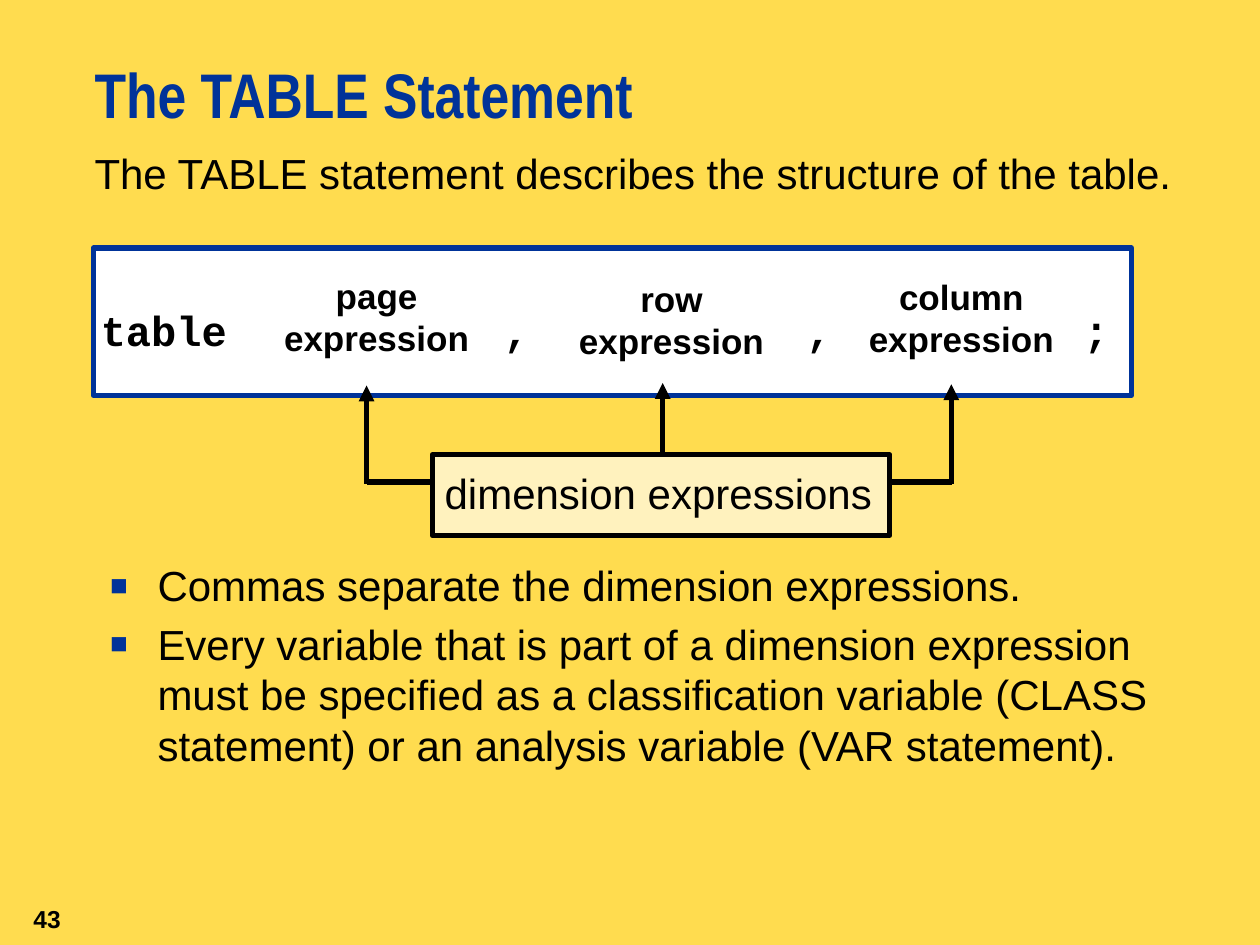
import pptx
import pptx.dml.color
import pptx.enum.shapes
import pptx.enum.text
import pptx.oxml
import pptx.oxml.ns
import pptx.util

Pt = pptx.util.Pt
ALIGN = pptx.enum.text.PP_ALIGN
ANCHOR = pptx.enum.text.MSO_ANCHOR
COLORS = {
    "background": "FFDC4F",
    "blue": "003399",
    "black": "000000",
    "white": "FFFFFF",
    "cream": "FFF2BE",
}


def color(name):
    return pptx.dml.color.RGBColor.from_string(COLORS[name])


def add_child(parent, tag, **attributes):
    child = pptx.oxml.parse_xml(f"<a:{tag} {pptx.oxml.ns.nsdecls('a')}/>")
    for key, value in attributes.items():
        child.set(key, str(value))
    parent.append(child)
    return child


def set_frame(box, insets=(0, 0, 0, 0), wrap=True, anchor=ANCHOR.TOP):
    frame = box.text_frame
    frame.margin_left, frame.margin_top, frame.margin_right, frame.margin_bottom = map(Pt, insets)
    frame.word_wrap = wrap
    frame.vertical_anchor = anchor
    return frame


def add_box(page, left, top, width, height, **layout):
    box = page.shapes.add_textbox(Pt(left), Pt(top), Pt(width), Pt(height))
    return set_frame(box, **layout)


def add_rectangle(page, left, top, width, height, fill, line, **layout):
    box = page.shapes.add_shape(
        pptx.enum.shapes.MSO_SHAPE.RECTANGLE, Pt(left), Pt(top), Pt(width), Pt(height))
    box.shadow.inherit = False
    box.fill.solid()
    box.fill.fore_color.rgb = color(fill)
    box.line.color.rgb = color(line)
    box.line.width = Pt(3)
    return set_frame(box, **layout)


def write(frame, text, size=24, font="Arial", ink="black", bold=False, align=ALIGN.LEFT,
          before=0, spacing=None, bullet=False, tabs=()):
    para = frame.paragraphs[0]
    if para.runs:
        para = frame.add_paragraph()
    para.alignment = align
    para.space_before = Pt(before)
    if spacing:
        para.line_spacing = Pt(spacing)
    properties = para._p.get_or_add_pPr()
    if bullet:
        properties.set("marL", str(Pt(36)))
        properties.set("indent", str(Pt(-27)))
        add_child(add_child(properties, "buClr"), "srgbClr", val=COLORS["blue"])
        add_child(properties, "buSzPct", val=70000)
        add_child(properties, "buFont", typeface="Arial")
        add_child(properties, "buChar", char="■")
    if tabs:
        tab_list = add_child(properties, "tabLst")
        for position in tabs:
            add_child(tab_list, "tab", pos=Pt(position), algn="l")
    span = para.add_run()
    span.text = text
    span.font.size = Pt(size)
    span.font.name = font
    span.font.bold = bold
    span.font.color.rgb = color(ink)


def add_line(page, start, end, arrow=False):
    line = page.shapes.add_connector(
        pptx.enum.shapes.MSO_CONNECTOR.STRAIGHT, *map(Pt, start + end))
    line.line.color.rgb = color("black")
    line.line.width = Pt(3)
    if arrow:
        add_child(line.line._get_or_add_ln(), "tailEnd", type="triangle")
    add_child(line._element.spPr, "effectLst")


def add_statement(page):
    panel = add_rectangle(page, 53.3, 141.8, 593.3, 84.2, "white", "blue",
                          insets=(4.3, 32, 4.3, 4.3))
    character = 14.4
    write(panel, "table\t,\t,\t;", font="Courier New", bold=True,
          tabs=[character * column for column in (16, 28, 39)])
    for name, left, top in (("page", 152.6, 153.4), ("row", 321.1, 154.8),
                            ("column", 486.7, 154.1)):
        label = add_box(page, left, top, 125.3, 58.3, insets=(3.6,) * 4)
        write(label, f"{name} expression", size=20, bold=True, align=ALIGN.CENTER)


def add_callout(page):
    bar = 275.4
    for x, tip in ((209.5, 220.3), (378.7, 218.9), (543.6, 219.6)):
        add_line(page, (x, bar + 1), (x, tip), arrow=True)
    add_line(page, (209.5, bar), (544.3, bar))
    callout = add_rectangle(page, 247, 259.9, 261.4, 46.1, "cream", "black",
                            insets=(7.2,) * 4, wrap=False)
    write(callout, "dimension expressions")


def main():
    deck = pptx.Presentation()
    deck.slide_width, deck.slide_height = Pt(720), Pt(540)
    page = deck.slides.add_slide(deck.slide_layouts[6])
    page.background.fill.solid()
    page.background.fill.fore_color.rgb = color("background")

    title = add_box(page, 54, 36, 666, 54)
    write(title, "The TABLE Statement", size=36, font="Arial Narrow", ink="blue",
          bold=True, spacing=39)
    body = add_box(page, 54, 84.2, 622, 421.2)
    write(body, "The TABLE statement describes the structure of the table.")
    write(body, "Commas separate the dimension expressions.", before=206.8, bullet=True)
    write(body, "Every variable that is part of a dimension expression must be specified as a "
                "classification variable (CLASS statement) or an analysis variable "
                "(VAR statement).", before=4.8, bullet=True)
    number = add_box(page, 0, 509.8, 41.8, 30.2, insets=(7.2, 3.6, 7.2, 3.6),
                     wrap=False, anchor=ANCHOR.MIDDLE)
    write(number, "43", size=14, bold=True, align=ALIGN.RIGHT)

    add_statement(page)
    add_callout(page)
    deck.save("out.pptx")


if __name__ == "__main__":
    main()
